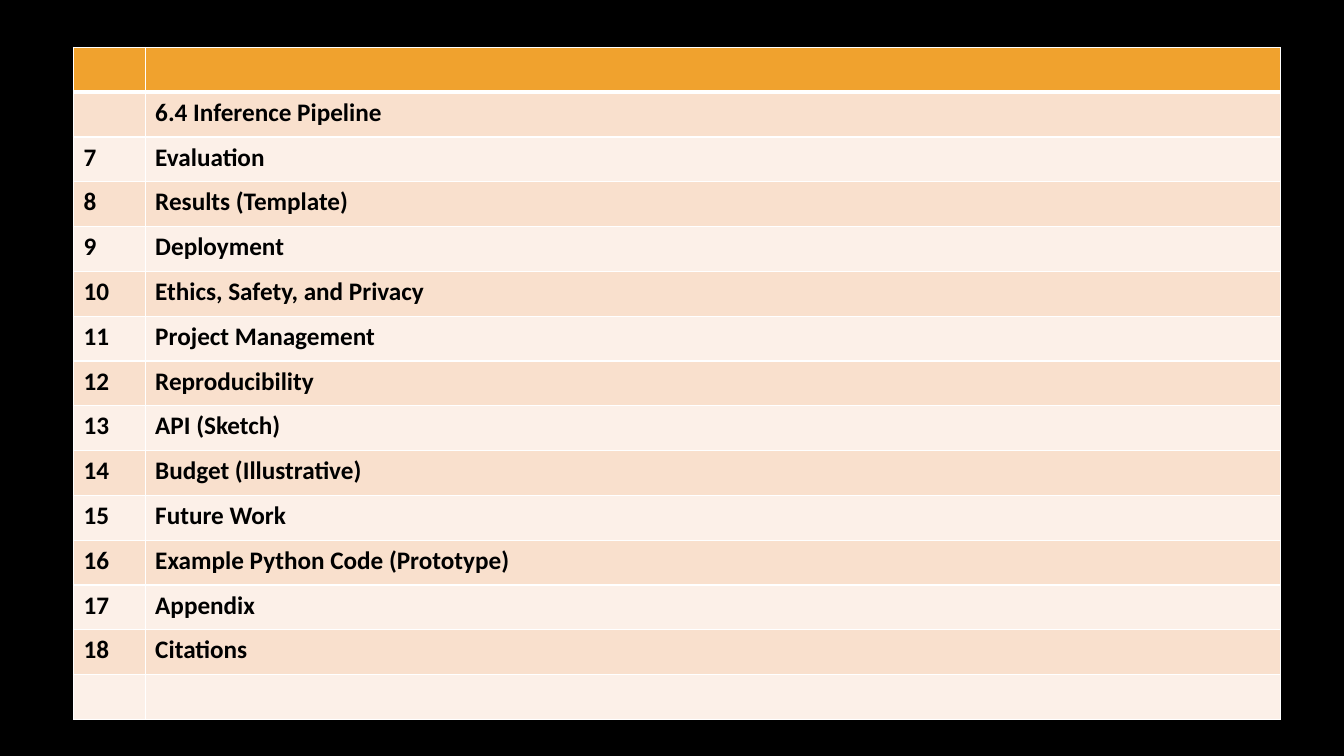
from lxml import etree
from pptx import Presentation
from pptx import util as u
from pptx.dml.color import RGBColor
from pptx.oxml.ns import qn

PX = 9144  # one px is a hundredth of an inch

THEME = {
    "back": "000000", "head": "F0A22E", "bands": ["FCF0E8", "F9E0CD"],
    "line": "FFFFFF", "thin": 1, "thick": 3,
    "font": {"name": "Calibri", "size": u.Pt(18), "bold": True},
    "ink": "000000",
}

ROWS = [
    ("", ""),
    ("", "6.4 Inference Pipeline"),
    ("7", "Evaluation"),
    ("8", "Results (Template)"),
    ("9", "Deployment"),
    ("10", "Ethics, Safety, and Privacy"),
    ("11", "Project Management"),
    ("12", "Reproducibility"),
    ("13", "API (Sketch)"),
    ("14", "Budget (Illustrative)"),
    ("15", "Future Work"),
    ("16", "Example Python Code (Prototype)"),
    ("17", "Appendix"),
    ("18", "Citations"),
    ("", ""),
]
COLS = [71, 1126]
LEFT, TOP, HIGH = 73, 47, 667


def paint(fill, color):
    fill.solid()
    fill.fore_color.rgb = RGBColor.from_string(color)


def edge(cell, side, width):
    props = cell._tc.get_or_add_tcPr()
    line = etree.SubElement(props, qn(f"a:ln{side}"), w=str(u.Pt(width)))
    solid = etree.SubElement(line, qn("a:solidFill"))
    etree.SubElement(solid, qn("a:srgbClr"), val=THEME["line"])


# Slide and background
deck = Presentation()
deck.slide_width, deck.slide_height = 1333 * PX, 750 * PX
slide = deck.slides.add_slide(deck.slide_layouts[6])
paint(slide.background.fill, THEME["back"])

# Contents table with equal rows
table = slide.shapes.add_table(
    len(ROWS), len(COLS), LEFT * PX, TOP * PX, sum(COLS) * PX, HIGH * PX
).table
for col, width in zip(table.columns, COLS):
    col.width = width * PX
for row in table.rows:
    row.height = HIGH * PX // len(ROWS)

# Cells: borders, banded fill and text
for r, words in enumerate(ROWS):
    for c, word in enumerate(words):
        cell = table.cell(r, c)
        for side in "LRTB":
            under = (r, side) in ((0, "B"), (1, "T"))
            edge(cell, side, THEME["thick" if under else "thin"])
        paint(cell.fill, THEME["bands"][r % 2] if r else THEME["head"])
        para = cell.text_frame.paragraphs[0]
        if word:
            font = para.add_run().font
            para.runs[0].text = word
            for key, value in THEME["font"].items():
                setattr(font, key, value)
            font.color.rgb = RGBColor.from_string(THEME["ink"])

deck.save("out.pptx")
